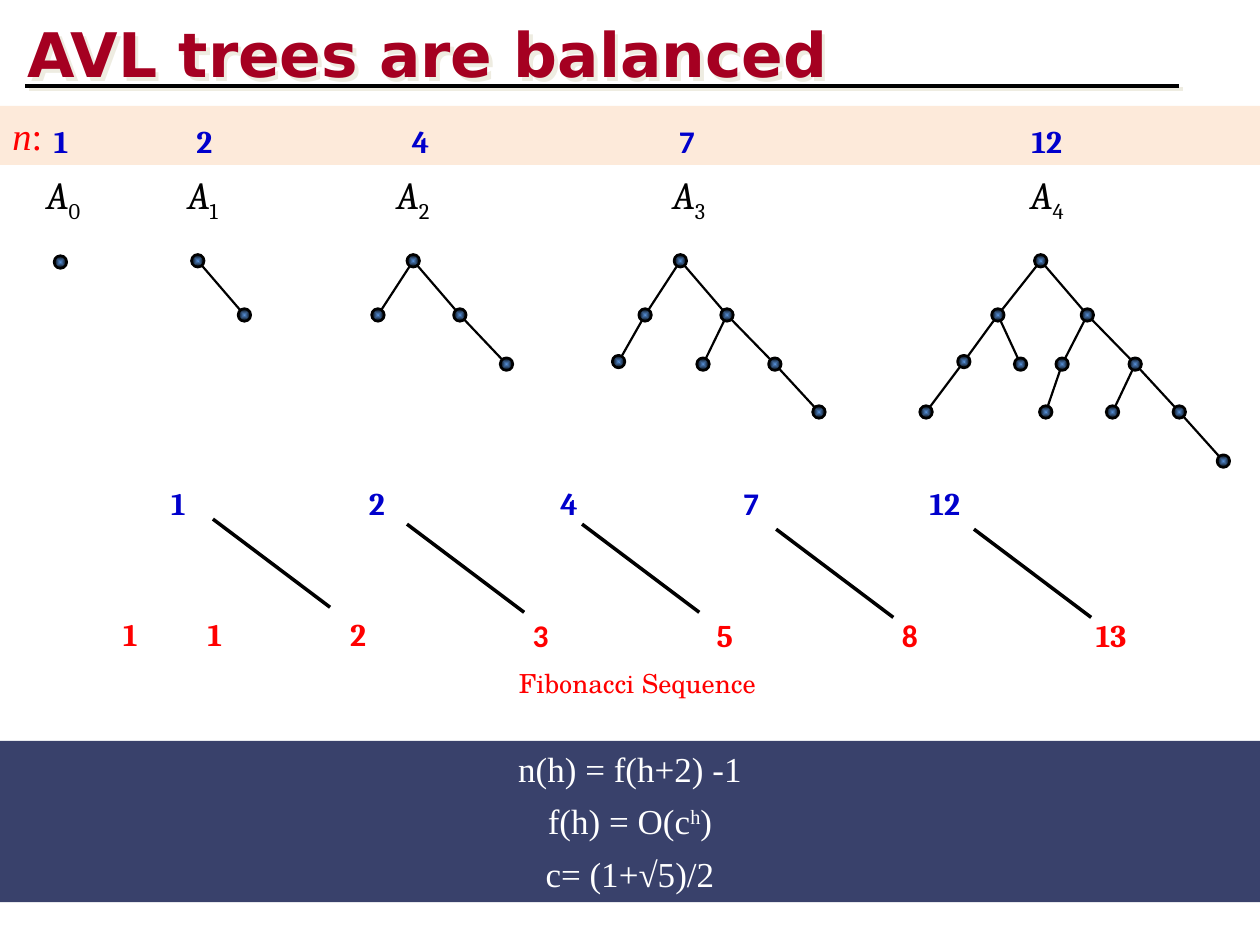
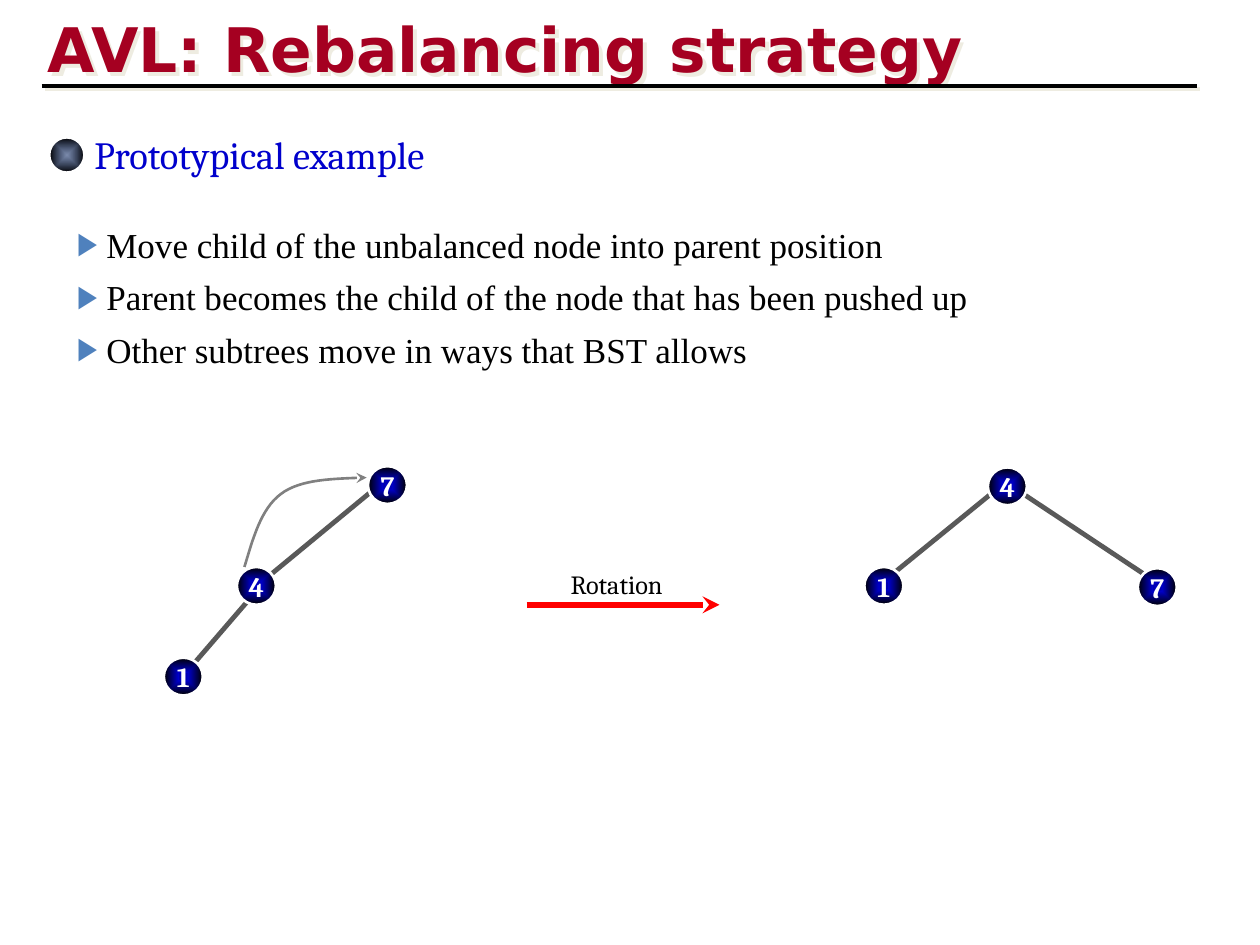
from collections import namedtuple

from pptx import Presentation
from pptx.dml.color import RGBColor
from pptx.enum.shapes import MSO_CONNECTOR, MSO_SHAPE
from pptx.enum.text import MSO_ANCHOR, MSO_AUTO_SIZE, PP_ALIGN
from pptx.oxml import parse_xml
from pptx.oxml.ns import nsdecls
from pptx.util import Pt

PX = 9144  # one px is a hundredth of an inch

Type = namedtuple("Type", "font size color bold italic", defaults=(False, False))


class Theme:
    """Colours, gradients and type styles."""
    BLACK, WHITE, RED = "000000", "FFFFFF", "FF0000"
    BLUE, GREY, EDGE = "0000CC", "808080", "595959"
    PEACH, NAVY, SHADE, MARK = "FDEADA", "39416B", "EEECE1", "4F81BD"

    # Gradient stops: position, colour, opacity in percent
    DOT = [(0, "558ED5", 100), (100, BLACK, 100)]
    BALL = [(0, "002060", 51), (100, BLACK, 100)]
    BEAD = [(0, BLUE, 100), (6, "0000C0", 100), (10, "0000B7", 100),
            (16, "0000AB", 100), (21, BLUE, 100), (100, BLACK, 100)]

    TITLE = Type("DejaVu Sans", 35.1, "A50021", bold=True)
    HEAD = Type("Cambria", 22, BLUE)
    LIST = Type("Times New Roman", 20, BLACK)
    NOTE = Type("Times New Roman", 20, WHITE)
    MATH = Type("Times New Roman", 22, RED, italic=True)
    TREE = Type("Cambria", 22, BLACK, italic=True)
    COUNT = Type("Cambria", 18, BLUE, bold=True)
    FIB = COUNT._replace(color=RED)
    KEY = Type("Cambria", 16, WHITE, bold=True)
    TAG = Type("Cambria", 15, BLACK)
    NAME = Type("TeX Gyre Schola", 15, RED)


def rgb(code):
    return RGBColor.from_string(code)


def effect(color=None):
    """Effect list: empty, or one hard shadow cast down and right."""
    shade = (f'<a:outerShdw dist="35560" dir="2700000" algn="ctr" rotWithShape="0">'
             f'<a:srgbClr val="{color}"/></a:outerShdw>') if color else ""
    return parse_xml(f'<a:effectLst {nsdecls("a")}>{shade}</a:effectLst>')


def radial(stops):
    marks = "".join(
        f'<a:gs pos="{pos * 1000}"><a:srgbClr val="{color}">'
        f'<a:alpha val="{alpha * 1000}"/></a:srgbClr></a:gs>'
        for pos, color, alpha in stops)
    return parse_xml(
        f'<a:gradFill {nsdecls("a")} rotWithShape="1"><a:gsLst>{marks}</a:gsLst>'
        '<a:path path="shape"><a:fillToRect l="50000" t="50000" r="50000" b="50000"/>'
        '</a:path></a:gradFill>')


class Deck:
    def __init__(self, theme):
        self.theme = theme
        self.prs = Presentation()
        self.prs.slide_width, self.prs.slide_height = 1000 * PX, 750 * PX
        self.page = None

    def place(self, shape, box):
        shape.left, shape.top, shape.width, shape.height = (n * PX for n in box)

    def slide(self, layout, title, box, rule):
        """Add a slide with its title and the shadowed rule below."""
        self.page = self.prs.slides.add_slide(self.prs.slide_layouts[layout])
        shape = self.page.shapes.title
        self.place(shape, box)
        self.put(shape, [[(title, self.theme.TITLE)]])
        frame = shape.text_frame
        frame.auto_size = MSO_AUTO_SIZE.NONE
        frame.margin_top, frame.margin_bottom = 8 * PX, 2 * PX
        shape._element.spPr.append(effect(self.theme.SHADE))
        left, right = rule
        self.line((left, 68), (right, 68), self.theme.BLACK, 2.25,
                  shade=self.theme.SHADE)

    def put(self, shape, paras, align=PP_ALIGN.LEFT, before=0,
            anchor=MSO_ANCHOR.TOP, wrap=True):
        """Fill a shape; each run is (text, type) or (text, type, baseline)."""
        frame = shape.text_frame
        frame.word_wrap, frame.vertical_anchor = wrap, anchor
        for i, runs in enumerate(paras):
            para = frame.add_paragraph() if i else frame.paragraphs[0]
            para.alignment, para.space_before = align, Pt(before)
            for text, style, *base in runs:
                run = para.add_run()
                run.text = text
                font = run.font
                font.name, font.size = style.font, Pt(style.size)
                font.bold, font.italic = style.bold, style.italic
                font.color.rgb = rgb(style.color)
                if base:
                    run._r.get_or_add_rPr().set("baseline", str(base[0] * 1000))

    def text(self, box, *runs):
        shape = self.page.shapes.add_textbox(*(n * PX for n in box))
        self.put(shape, [runs])

    def band(self, top, high, color, paras, align=PP_ALIGN.LEFT):
        shape = self.page.shapes.add_shape(
            MSO_SHAPE.RECTANGLE, 0, top * PX, 1000 * PX, high * PX)
        shape.shadow.inherit = False
        shape.fill.solid()
        shape.fill.fore_color.rgb = rgb(color)
        shape.line.fill.background()
        self.put(shape, paras, align, 6)

    def oval(self, box, stops, edge, key=None):
        shape = self.page.shapes.add_shape(
            MSO_SHAPE.OVAL, *(n * PX for n in box))
        shape.line.color.rgb, shape.line.width = rgb(edge), Pt(1.5)
        shape.shadow.inherit = False
        shape._element.spPr.prstGeom.addnext(radial(stops))
        if key:
            self.put(shape, [[(key, self.theme.KEY)]], PP_ALIGN.CENTER,
                     anchor=MSO_ANCHOR.MIDDLE, wrap=False)

    def stroke(self, shape, color, width, arrow):
        shape.line.color.rgb, shape.line.width = rgb(color), Pt(width)
        if arrow:
            shape.line._get_or_add_ln().append(
                parse_xml(f'<a:tailEnd {nsdecls("a")} type="stealth"/>'))

    def line(self, start, end, color, width, arrow=False, shade=None):
        shape = self.page.shapes.add_connector(
            MSO_CONNECTOR.STRAIGHT, *(n * PX for n in (*start, *end)))
        self.stroke(shape, color, width, arrow)
        shape._element.spPr.append(effect(shade))

    def curve(self, points, color, width):
        """Draw chained cubic curves as one open outline ending in an arrow."""
        steps, trail = 16, []
        for i in range(0, len(points) - 1, 3):
            for k in range(1, steps + 1):
                t = k / steps
                rate = ((1 - t) ** 3, 3 * t * (1 - t) ** 2,
                        3 * t * t * (1 - t), t ** 3)
                trail.append(tuple(
                    round(PX * sum(r * p[axis] for r, p in zip(rate, points[i:i + 4])))
                    for axis in (0, 1)))
        x, y = points[0]
        pen = self.page.shapes.build_freeform(x * PX, y * PX)
        pen.add_line_segments(trail, close=False)
        shape = pen.convert_to_shape()
        shape.fill.background()
        self.stroke(shape, color, width, True)
        shape.shadow.inherit = False

    def tree(self, nodes):
        """Each node is (centre x, centre y, index of its parent)."""
        for x, y, up in nodes:
            if up is not None:
                self.line(nodes[up][:2], (x, y), self.theme.BLACK, 1.25)
        for x, y, _ in nodes:
            self.oval((x - 5, y - 5, 10, 10), self.theme.DOT, self.theme.BLACK)

    def row(self, top, items, style):
        """Numbers along one row; some are set in the second font."""
        for left, text in items:
            font = "Calibri" if text in ("3", "7", "8") else style.font
            self.text((left, top, 57, 40), (text, style._replace(font=font)))

    def bullets(self, box, items):
        shape = self.page.placeholders[1]
        self.place(shape, box)
        self.put(shape, [[(item, self.theme.LIST)] for item in items], before=6)
        shape.text_frame.auto_size = MSO_AUTO_SIZE.NONE
        for para in shape.text_frame.paragraphs:
            props = para._p.get_or_add_pPr()
            props.set("marL", "0")
            props.set("indent", "0")
            for tag in (f'buClr {nsdecls("a")}><a:srgbClr val="{self.theme.MARK}"/></a:buClr',
                        f'buSzPct {nsdecls("a")} val="90000"/',
                        f'buFont {nsdecls("a")} typeface="{self.theme.LIST.font}"/',
                        f'buChar {nsdecls("a")} char="▶"/'):
                props.append(parse_xml(f"<a:{tag}>"))


def balance(deck):
    look = deck.theme
    deck.slide(5, "AVL trees are balanced", (12, 5, 972, 67), (20, 936))

    # Sizes and names of the smallest trees
    deck.band(84, 47, look.PEACH,
              [[("n", look.MATH), (":", look.MATH._replace(italic=False))]])
    for i, left in enumerate((27, 139, 305, 524, 808)):
        deck.text((left, 131, 57, 47), ("A", look.TREE),
                  (str(i), look.TREE._replace(italic=False), -25))
    sizes = ("1", "2", "4", "7", "12")
    deck.row(92, zip((33, 146, 317, 529, 809), sizes), look.COUNT)

    # The trees
    deck.tree([(48, 208, None)])
    deck.tree([(157, 207, None), (194, 250, 0)])
    deck.tree([(328, 207, None), (300, 250, 0), (365, 250, 0), (402, 289, 2)])
    deck.tree([(540, 207, None), (512, 250, 0), (577, 250, 0), (491, 287, 1),
               (558, 289, 2), (615, 289, 2), (650, 327, 5)])
    deck.tree([(826, 207, None), (792, 250, 0), (863, 250, 0), (765, 287, 1),
               (810, 289, 1), (843, 289, 2), (901, 289, 2), (735, 327, 3),
               (830, 327, 5), (883, 327, 6), (936, 327, 6), (971, 366, 10)])

    # Tree sizes against the number sequence
    deck.row(379, zip((126, 283, 435, 580, 728), sizes), look.COUNT)
    deck.row(483, zip((88, 155, 268), "112"), look.FIB)
    deck.row(484, zip((413, 559, 706, 860), ("3", "5", "8", "13")), look.FIB)
    for x, y in ((169, 412), (323, 416), (462, 416), (616, 420), (773, 420)):
        deck.line((x + 93, y + 70), (x, y), look.BLACK, 2)
    deck.text((402, 525, 267, 35), ("Fibonacci Sequence", look.NAME))

    # Formulas
    note = look.NOTE
    deck.band(588, 128, look.NAVY,
              [[("n(h) = f(h+2) -1", note)],
               [("f(h) = O(c", note), ("h", note, 30), (")", note)],
               [("c= (1+√5)/2", note)]], PP_ALIGN.CENTER)


def rotate(deck):
    look = deck.theme
    deck.slide(1, "AVL: Rebalancing strategy", (28, 1, 850, 67), (33, 950))

    # Heading and steps
    deck.oval((39, 109, 28, 28), look.BALL, look.WHITE)
    deck.text((65, 99, 907, 47), ("Prototypical example", look.HEAD))
    deck.bullets((51, 172, 874, 128), [
        " Move child of the unbalanced node into parent position",
        " Parent becomes the child of the node that has been pushed up",
        " Other subtrees move in ways that BST allows"])

    # Trees before and after
    for start, end in (((210, 460), (307, 380)), ((145, 537), (207, 465)),
                       ((703, 460), (800, 381)), ((907, 455), (800, 384))):
        deck.line(start, end, look.EDGE, 2.75)
    for x, y, key in ((292, 370, "7"), (188, 450, "4"), (130, 522, "1"),
                      (784, 371, "4"), (903, 451, "7"), (686, 450, "1")):
        deck.oval((x, y, 31, 30), look.BEAD, look.WHITE, key)

    # Moves
    deck.curve([(194, 450), (201, 427), (207, 404), (223, 392),
                (239, 380), (265, 380), (291, 379)], look.GREY, 1.5)
    deck.line((418, 480), (571, 480), look.RED, 3.25, arrow=True)
    deck.text((443, 446, 104, 35), ("Rotation", look.TAG))


def main():
    deck = Deck(Theme)
    balance(deck)
    rotate(deck)
    deck.prs.save("out.pptx")


if __name__ == "__main__":
    main()
